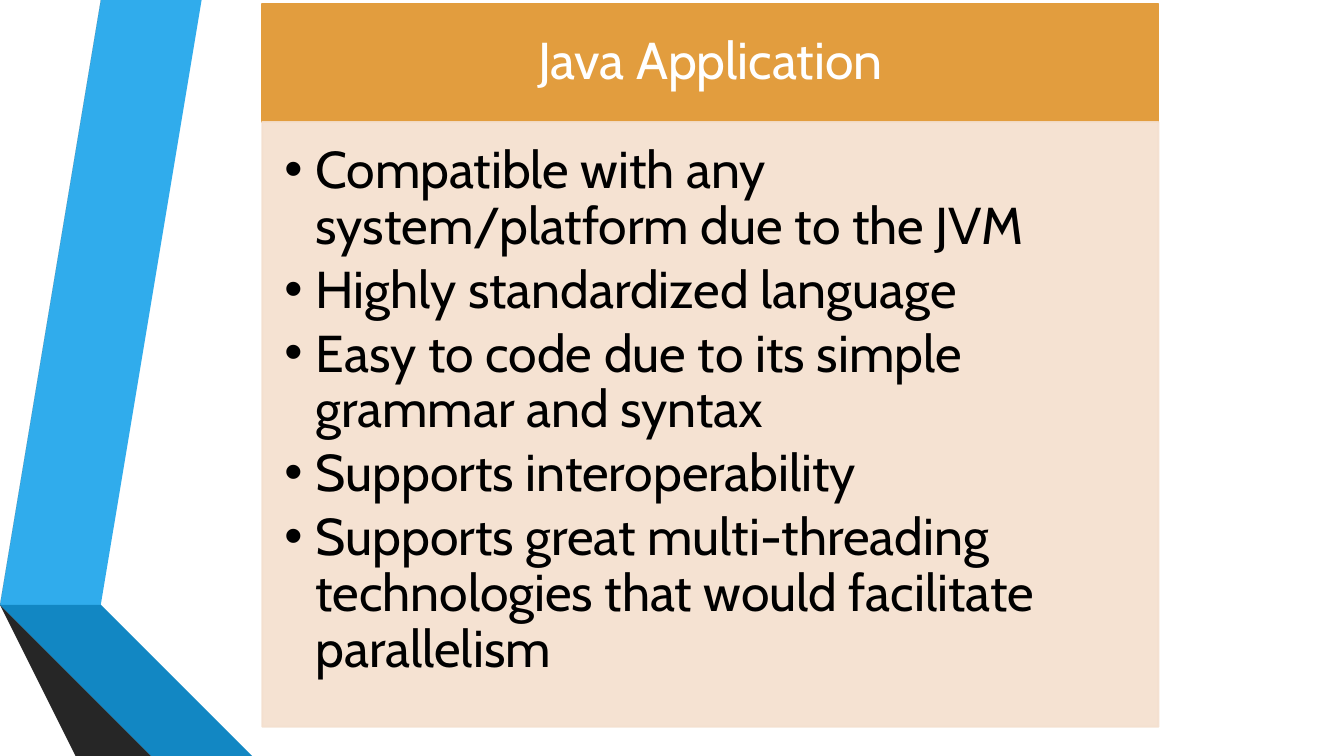
from pptx import Presentation, util as u
from pptx.dml.color import RGBColor
from pptx.enum import text
from pptx.oxml.ns import qn
from lxml import etree

HEAD = "Java Application"
ITEMS = [
    "Compatible with any system/platform due to the JVM",
    "Highly standardized language",
    "Easy to code due to its simple grammar and syntax",
    "Supports interoperability",
    "Supports great multi-threading technologies that would facilitate parallelism",
]
THEME = {
    "font": "Cabin", "size": 37, "line": 1.25,
    "head": "E29D3E", "body": "F4DFCE", "light": "FFFFFF", "dark": "000000",
    "sky": "30ACEC", "blue": "1287C3", "navy": "0C5A82",
    "gray": "595959", "coal": "404040", "ink": "262626",
}
WIDE, HIGH = 13.33, 7.5
BANDS = [
    ("sky", [(0.5, 5.78), (0.77, 5.83), (1.73, 0), (1.45, 0)]),
    ("gray", [(1.39, 0), (1.11, 0), (0.16, 5.73), (0.44, 5.77)]),
    ("ink", [(0.16, 5.73), (1.45, HIGH), (1.51, HIGH)]),
    ("navy", [(0.5, 5.79), (2.08, HIGH), (2.14, HIGH)]),
    ("blue", [(0.5, 5.78), (2.14, HIGH), (2.83, HIGH), (0.77, 5.83)]),
    ("coal", [(2.02, HIGH), (0.48, 5.83), (0.44, 5.77), (0.16, 5.73), (1.51, HIGH)]),
]
LEFT, TOP, SPAN = 2.6, 0.04, 8.89
HEAD_H, BODY_H = 1.17, 6
HANG = u.Inches(0.31)


def tone(name):
    return RGBColor.from_string(THEME[name])


def paint(shape, name):
    shape.fill.solid()
    shape.fill.fore_color.rgb = tone(name)


def panel(shape, top, high, name, ink, pads, lines):
    shape.left, shape.top, shape.width, shape.height = map(u.Inches, (LEFT, top, SPAN, high))
    paint(shape, name)
    shape.line.color.rgb = tone(name)
    shape.line.width = u.Pt(THEME["line"])
    frame = shape.text_frame
    frame.text = "\n".join(lines)
    frame.word_wrap = True
    frame.auto_size = text.MSO_AUTO_SIZE.NONE
    (frame.margin_left, frame.margin_top,
     frame.margin_right, frame.margin_bottom) = map(u.Inches, pads)
    for para in frame.paragraphs:
        para.font.name = THEME["font"]
        para.font.size = u.Pt(THEME["size"])
        para.font.color.rgb = tone(ink)
        para.line_spacing = 0.9
        para.space_before = u.Pt(0)
        para.space_after = u.Pt(5.5)
    return frame


deck = Presentation()
deck.slide_width, deck.slide_height = u.Inches(WIDE), u.Inches(HIGH)
slide = deck.slides.add_slide(deck.slide_layouts[1])

for name, spots in BANDS:
    pen = slide.shapes.build_freeform(*spots[0], scale=u.Inches(1))
    pen.add_line_segments(spots[1:], close=True)
    band = pen.convert_to_shape()
    paint(band, name)
    band.line.fill.background()
    band.shadow.inherit = False

title, body = slide.shapes.title, slide.placeholders[1]
frame = panel(title, TOP, HEAD_H, "head", "light", (0.29, 0.16, 0.29, 0.16), [HEAD])
frame.vertical_anchor = text.MSO_ANCHOR.MIDDLE
frame.paragraphs[0].alignment = text.PP_ALIGN.CENTER

frame = panel(body, TOP + HEAD_H, BODY_H, "body", "dark", (0.22, 0.22, 0.29, 0.32), ITEMS)
frame.vertical_anchor = text.MSO_ANCHOR.TOP
for para in frame.paragraphs:
    props = para._p.get_or_add_pPr()
    props.set("marL", str(HANG))
    props.set("indent", str(-HANG))
    etree.SubElement(props, qn("a:buFont")).set("typeface", "Arial")
    etree.SubElement(props, qn("a:buChar")).set("char", "•")
    props.append(props.find(qn("a:defRPr")))
for color in body._element.spPr.iter(qn("a:srgbClr")):
    etree.SubElement(color, qn("a:alpha")).set("val", "90000")

deck.save("out.pptx")
